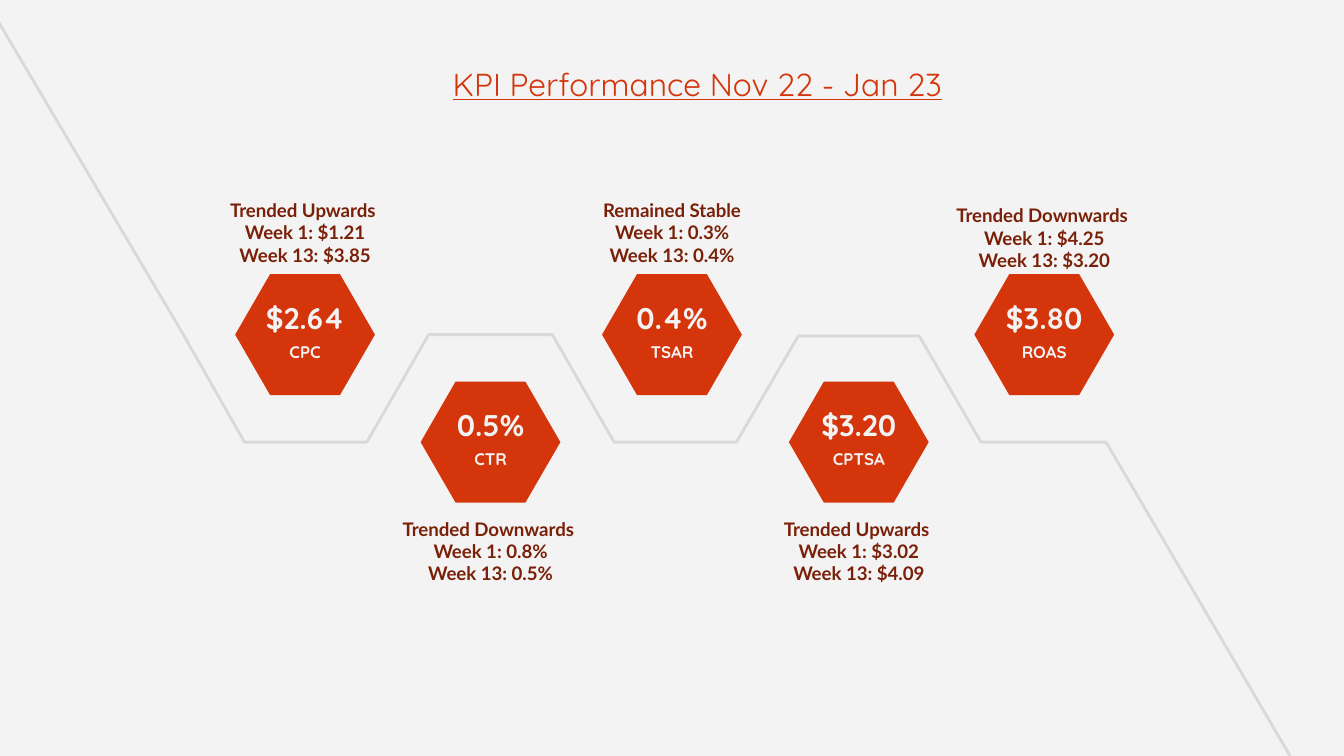
from lxml import etree
from pptx import Presentation
from pptx import util as u
from pptx.dml.color import RGBColor
from pptx.enum import shapes, text
from pptx.oxml import ns

COLORS = {"background": "F3F3F3", "hexagon": "D4350B", "note": "7A2008", "track": "D9D9D9"}
FORMATS = {
    "title": {"name": "Quicksand", "size": u.Pt(17), "underline": True, "bold": False},
    "value": {"name": "Quicksand", "size": u.Pt(16), "bold": True},
    "label": {"name": "Quicksand", "size": u.Pt(9), "bold": True},
    "note": {"name": "Lato", "size": u.Pt(10), "bold": True},
}
HEXAGON_WIDTH, HEXAGON_HEIGHT, HEXAGON_INSET = 1.04, 0.9, 0.26
UPPER, LOWER = 2.04, 2.84
ABOVE, BELOW = -0.66, 0.91

# left, top, value, label, note offset, note width, note lines
KPIS = [
    (1.75, UPPER, "$2.64", "CPC", ABOVE, 1.53,
     ["Trended Upwards ", "Week 1: $1.21", "Week 13: $3.85"]),
    (3.13, LOWER, "0.5%", "CTR", BELOW, 1.53,
     ["Trended Downwards ", "Week 1: 0.8%", "Week 13: 0.5%"]),
    (4.48, UPPER, "0.4%", "TSAR", ABOVE, 1.35,
     ["Remained Stable", "Week 1: 0.3%", "Week 13: 0.4%"]),
    (5.87, LOWER, "$3.20", "CPTSA", BELOW, 1.35,
     ["Trended Upwards ", "Week 1: $3.02", "Week 13: $4.09"]),
    (7.25, UPPER, "$3.80", "ROAS", ABOVE + 0.04, 1.62,
     ["Trended Downwards ", "Week 1: $4.25", "Week 13: $3.20"]),
]
TRACK = [(1.37, 2.5), (1.82, 3.29), (2.73, 3.29), (3.19, 2.49), (4.11, 2.49), (4.57, 3.29),
         (5.48, 3.29), (5.94, 2.5), (6.84, 2.5), (7.3, 3.29), (8.23, 3.29)]
TRACK_ENDS = [((1.4, 2.55), (-0.06, 0.08)), ((9.62, 5.66), (8.23, 3.29))]


def color(key):
    return RGBColor.from_string(COLORS[key])


def fill_text(shape, lines, style, color_key):
    frame = shape.text_frame
    frame.word_wrap = True
    frame.auto_size = text.MSO_AUTO_SIZE.NONE
    frame.vertical_anchor = text.MSO_ANCHOR.TOP
    for side in ("left", "top", "right", "bottom"):
        setattr(frame, f"margin_{side}", u.Inches(0.1))
    frame.text = "\n".join(lines)
    for paragraph in frame.paragraphs:
        paragraph.alignment = text.PP_ALIGN.CENTER
        font = paragraph.runs[0].font
        for key, value in FORMATS[style].items():
            setattr(font, key, value)
        font.color.rgb = color(color_key)


def add_centered_text(slide, center, top, width, height, lines, style, color_key):
    box = slide.shapes.add_textbox(*map(u.Inches, (center - width / 2, top, width, height)))
    fill_text(box, lines, style, color_key)


def add_title(slide, left, top, width, height):
    title = slide.shapes.title
    title.left, title.top, title.width, title.height = map(u.Inches, (left, top, width, height))
    fill_text(title, ["KPI Performance Nov 22 - Jan 23"], "title", "hexagon")


def style_track(shape):
    shape.line.color.rgb = color("track")
    shape.line.width = u.Pt(1.5)


def add_track(slide):
    """Draw the zigzag behind the hexagons and its two runs off the slide."""
    points = [tuple(map(u.Inches, point)) for point in TRACK]
    builder = slide.shapes.build_freeform(*points[0])
    builder.add_line_segments(points[1:], close=False)
    zigzag = builder.convert_to_shape()
    zigzag.shadow.inherit = False
    zigzag.fill.background()
    style_track(zigzag)
    for start, end in TRACK_ENDS:
        connector = slide.shapes.add_connector(
            shapes.MSO_CONNECTOR.STRAIGHT, *map(u.Inches, start + end))
        style_track(connector)
        etree.SubElement(connector._element.spPr, ns.qn("a:effectLst"))


def add_kpi(slide, left, top, value, label, note_offset, note_width, note_lines):
    """Draw a hexagon with its value and label, and the trend note beside it."""
    hexagon = slide.shapes.add_shape(
        shapes.MSO_SHAPE.HEXAGON,
        *map(u.Inches, (left, top, HEXAGON_WIDTH, HEXAGON_HEIGHT)))
    hexagon.adjustments[0] = HEXAGON_INSET / HEXAGON_HEIGHT
    hexagon.shadow.inherit = False
    hexagon.fill.solid()
    hexagon.fill.fore_color.rgb = color("hexagon")
    hexagon.line.fill.background()
    center = left + HEXAGON_WIDTH / 2
    add_centered_text(slide, center, top + 0.09, 1.03, 0.4, [value], "value", "background")
    add_centered_text(slide, center, top + 0.4, 1.21, 0.4, [label], "label", "background")
    add_centered_text(slide, center, top + note_offset, note_width, 0.66,
                      note_lines, "note", "note")


def main():
    presentation = Presentation()
    presentation.slide_width = u.Inches(10)
    presentation.slide_height = presentation.slide_width * 9 // 16
    slide = presentation.slides.add_slide(presentation.slide_layouts[5])
    slide.background.fill.solid()
    slide.background.fill.fore_color.rgb = color("background")
    add_title(slide, 3.13, 0.38, 4.12, 0.75)
    add_track(slide)
    for kpi in KPIS:
        add_kpi(slide, *kpi)
    presentation.save("out.pptx")


if __name__ == "__main__":
    main()
